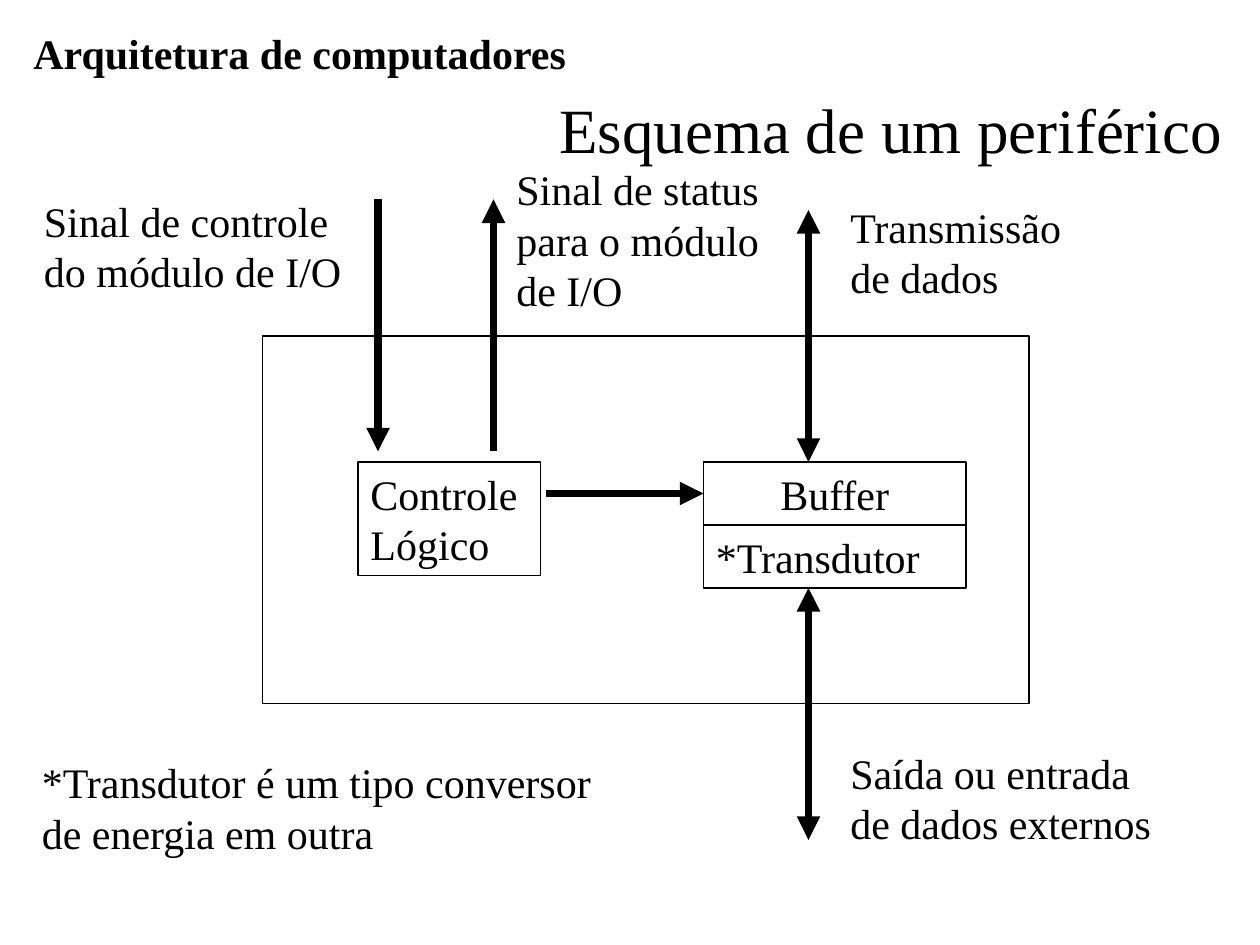
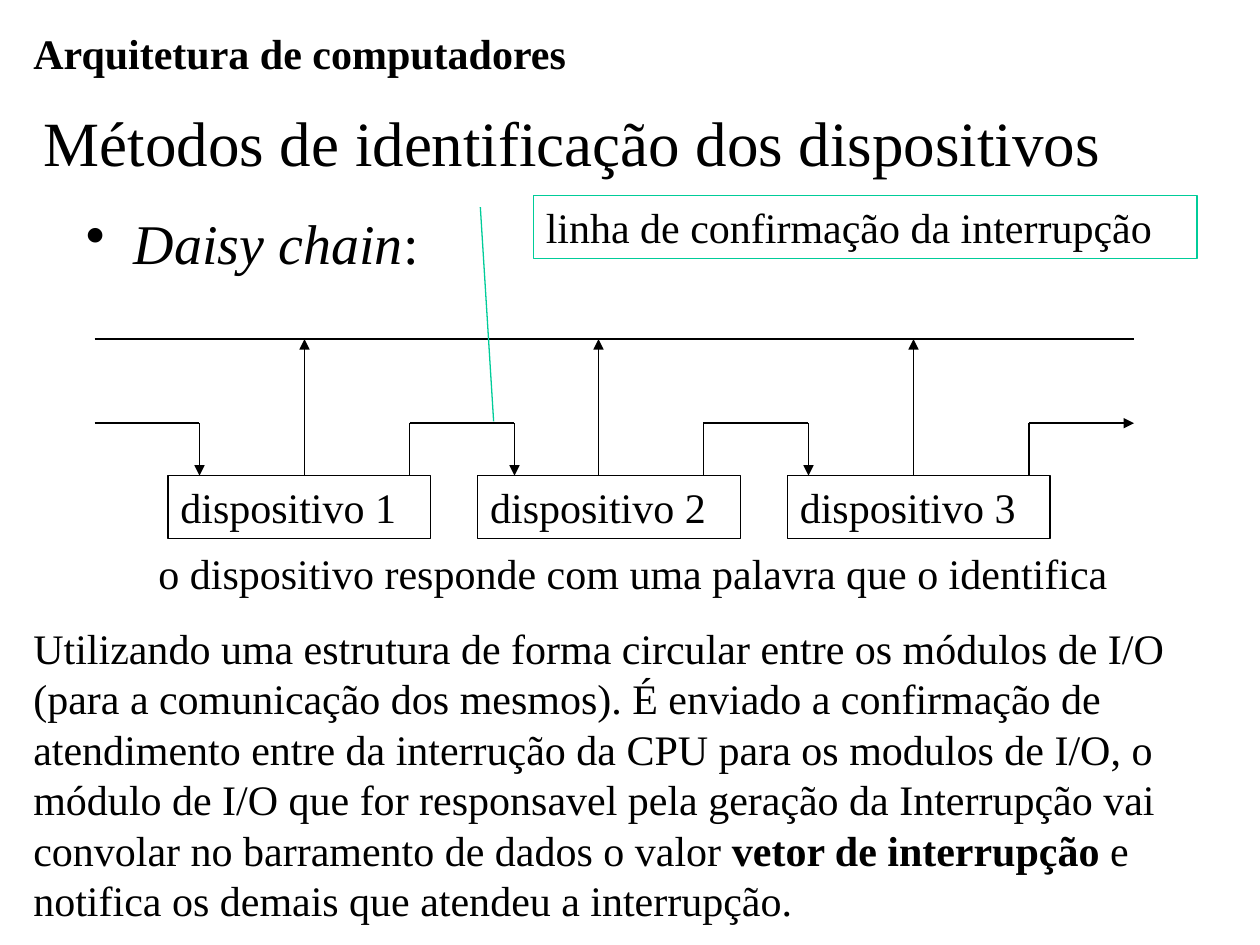
from dataclasses import dataclass

from lxml import etree
from pptx import Presentation
from pptx.dml.color import RGBColor
from pptx.enum.shapes import MSO_CONNECTOR, MSO_SHAPE
from pptx.enum.text import MSO_ANCHOR, PP_ALIGN
from pptx.oxml.ns import qn
from pptx.util import Inches, Pt

STRAIGHT = MSO_CONNECTOR.STRAIGHT
RECTANGLE = MSO_SHAPE.RECTANGLE
CALLOUT = MSO_SHAPE.LINE_CALLOUT_1
TOP, MIDDLE = MSO_ANCHOR.TOP, MSO_ANCHOR.MIDDLE
LEFT, CENTER = PP_ALIGN.LEFT, PP_ALIGN.CENTER


@dataclass(frozen=True)
class Theme:
    font: str = "Times New Roman"
    ink: RGBColor = RGBColor(0, 0, 0)
    accent: RGBColor = RGBColor(0x00, 0xCC, 0x99)
    title: int = 36
    bullet: int = 32
    body: int = 24
    thin: float = 0.75
    thick: float = 4.5


THEME = Theme()
COLUMNS, ROWS = 120, 90
deck = Presentation()
deck.slide_width, deck.slide_height = Inches(10), Inches(7.5)
column, row = deck.slide_width / COLUMNS, deck.slide_height / ROWS


def write(slide, text, area, shape=None, border=THEME.ink, size=THEME.body, bold=False,
          align=LEFT, anchor=TOP, wrap=True, bullet=None):
    """Place text on grid cells (left, top, width, height), framed if a shape is given.

    Text is a string, or a list of (words, style) spans, style being "", "bold" or "italic".
    """
    left, top, width, height = area
    place = [int(left * column), int(top * row), int(width * column), int(height * row)]
    if shape is None:
        box = slide.shapes.add_textbox(*place)
    else:
        box = slide.shapes.add_shape(shape, *place)
        box.shadow.inherit = False
        box.fill.background()
        box.line.color.rgb = border
        box.line.width = Pt(THEME.thin)
    frame = box.text_frame
    frame.word_wrap = wrap
    frame.vertical_anchor = anchor
    lines = [[(line, "")] for line in text.split("\n")] if isinstance(text, str) else [text]
    for index, spans in enumerate(lines):
        para = frame.add_paragraph() if index else frame.paragraphs[0]
        para.alignment = align
        if bullet:
            properties = para._p.get_or_add_pPr()
            properties.set("marL", str(Inches(0.38)))
            properties.set("indent", str(-Inches(0.38)))
            etree.SubElement(properties, qn("a:buChar")).set("char", bullet)
        for words, style in spans:
            span = para.add_run()
            span.text = words
            span.font.name = THEME.font
            span.font.size = Pt(size)
            span.font.color.rgb = THEME.ink
            span.font.bold = bold or style == "bold"
            span.font.italic = style == "italic"
    return box


def connect(slide, start, end, width=THEME.thin, ends=()):
    """Draw a line between grid points; ends names the arrowheads: headEnd, tailEnd."""
    line = slide.shapes.add_connector(STRAIGHT, int(start[0] * column), int(start[1] * row),
                                      int(end[0] * column), int(end[1] * row))
    line.line.color.rgb = THEME.ink
    line.line.width = Pt(width)
    for name in ends:
        etree.SubElement(line.line._ln, qn(f"a:{name}")).set("type", "triangle")
    etree.SubElement(line._element.spPr, qn("a:effectLst"))


HEAD, TAIL = "headEnd", "tailEnd"
blank = deck.slide_layouts[6]
peripheral, daisy_chain = [deck.slides.add_slide(blank) for _ in range(2)]
for slide in (peripheral, daisy_chain):
    write(slide, "Arquitetura de computadores", (2, 2, 53.3, 6), bold=True, wrap=False)

# Slide 1: diagram of a peripheral
write(peripheral, "", (25, 32, 73, 35), shape=RECTANGLE)
write(peripheral, "Esquema de um periférico", (52.1, 8, 65.5, 8.4), size=THEME.title, wrap=False)
write(peripheral, "Controle\nLógico", (34.1, 44, 17.4, 10.8), shape=RECTANGLE, wrap=False)
write(peripheral, "Buffer", (67, 44, 25, 6), shape=RECTANGLE, align=CENTER)
write(peripheral, "*Transdutor", (67, 50, 25, 6), shape=RECTANGLE)

signals = [
    ((52, 47), (67, 47), [TAIL]),
    ((36, 19), (36, 43), [TAIL]),
    ((47, 19), (47, 43), [HEAD]),
    ((77, 20), (77, 44), [HEAD, TAIL]),
    ((77, 56), (77, 80), [HEAD, TAIL]),
]
for start, end, ends in signals:
    connect(peripheral, start, end, THEME.thick, ends)

labels = [
    ("Sinal de controle do módulo de I/O", (3, 18, 31, 10.8)),
    ("Sinal de status para o módulo de I/O", (48, 15, 26, 15.6)),
    ("Transmissão de dados", (79.8, 18.6, 23.2, 10.8)),
    ("Saída ou entrada de dados externos", (79.8, 70.6, 33.2, 10.8)),
]
for text, area in labels:
    write(peripheral, text, area)
write(peripheral, "*Transdutor é um tipo conversor\nde energia em outra",
      (2.8, 71.5, 55.8, 10.8), wrap=False)

# Slide 2: daisy chain
REQUEST_ROW, CONFIRM_ROW, DEVICE_ROW = 32.3, 40.3, 45.3
CHAIN_START, CHAIN_END = 9, 108
write(daisy_chain, [("Daisy chain", "italic"), (":", "")], (7, 19.3, 102, 10),
      size=THEME.bullet, bullet="•")
connect(daisy_chain, (CHAIN_START, REQUEST_ROW), (CHAIN_END, REQUEST_ROW))

hop_start = CHAIN_START
device_ports = [(19, 29, 39), (49, 57, 67), (77, 87, 98)]
for index, (entry, request, leave) in enumerate(device_ports):
    write(daisy_chain, f"dispositivo {index + 1}", (16 + 29.5 * index, DEVICE_ROW, 25, 6),
          shape=RECTANGLE)
    connect(daisy_chain, (hop_start, CONFIRM_ROW), (entry, CONFIRM_ROW))
    connect(daisy_chain, (entry, CONFIRM_ROW), (entry, DEVICE_ROW), ends=[TAIL])
    connect(daisy_chain, (request, DEVICE_ROW), (request, REQUEST_ROW), ends=[TAIL])
    connect(daisy_chain, (leave, CONFIRM_ROW), (leave, DEVICE_ROW))
    hop_start = leave
connect(daisy_chain, (hop_start, CONFIRM_ROW), (CHAIN_END, CONFIRM_ROW), ends=[TAIL])

write(daisy_chain, "o dispositivo responde com uma palavra que o identifica",
      (13.9, 51.6, 92.8, 6), wrap=False)
callout = write(daisy_chain, "linha de confirmação da interrupção", (50.8, 18.6, 63.2, 6),
                shape=CALLOUT, border=THEME.accent)
for index, share in enumerate((0.19, -0.08, 3.59, -0.06)):
    callout.adjustments[index] = share
write(daisy_chain, "Métodos de identificação dos dispositivos", (3, 6, 108, 15),
      size=THEME.title, anchor=MIDDLE)
write(daisy_chain, [
    ("Utilizando uma estrutura de forma circular entre os módulos de I/O (para a comunicação "
     "dos mesmos). É enviado a confirmação de atendimento entre da interrução da CPU para os "
     "modulos de I/O, o módulo de I/O que for responsavel pela geração da Interrupção vai "
     "convolar no barramento de dados o valor ", ""),
    ("vetor de interrupção", "bold"),
    (" e notifica os demais que atendeu a interrupção.", ""),
], (2, 58.7, 114.2, 30))

deck.save("out.pptx")
